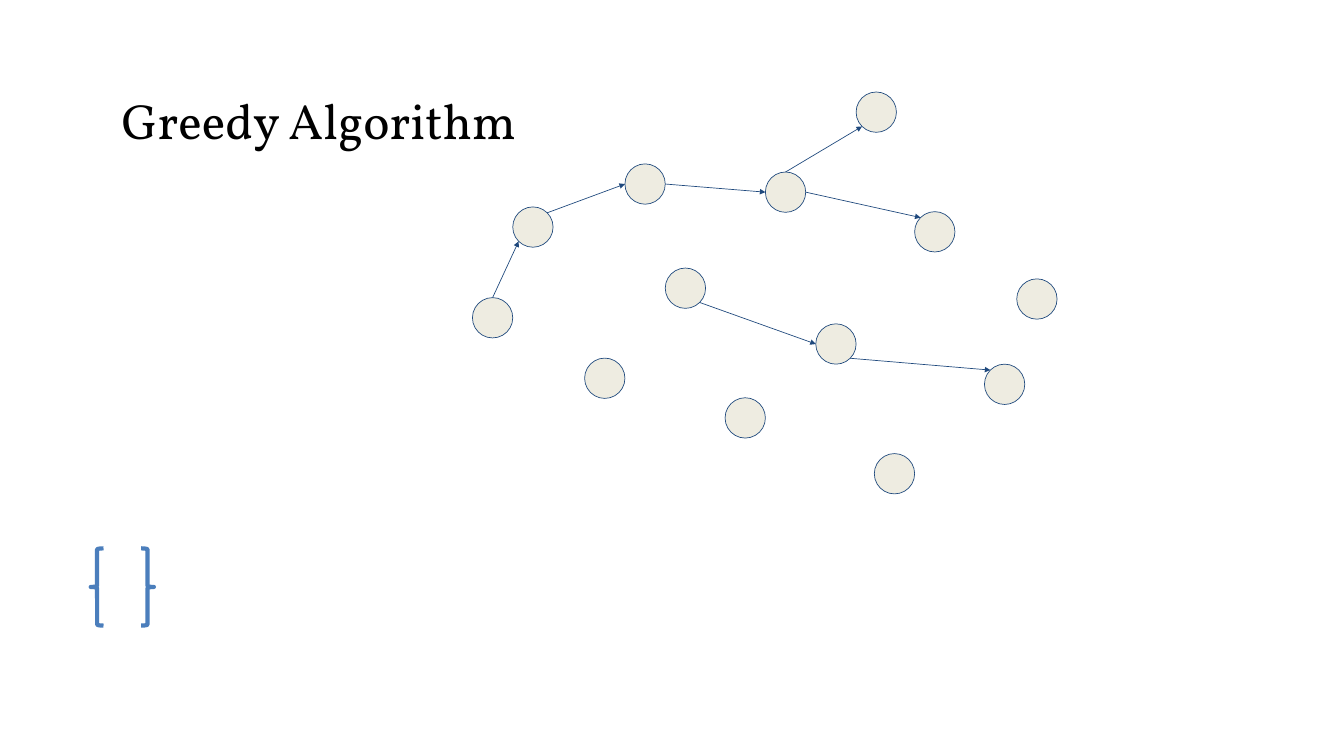
from dataclasses import dataclass
from math import cos, radians, sin

from pptx import Presentation
from pptx.dml.color import RGBColor
from pptx.enum.shapes import MSO_CONNECTOR, MSO_SHAPE
from pptx.enum.text import MSO_AUTO_SIZE
from pptx.oxml.ns import qn
from pptx.util import Pt
from lxml.etree import SubElement


@dataclass(frozen=True)
class Theme:
    """Colours, font and sizes in points."""
    font: str = "Vollkorn"
    title: float = 53
    ink: str = "000000"
    node: str = "EEECE1"
    edge: str = "1F497D"
    brace: str = "4B7EBC"
    thin: float = 0.75
    thick: float = 4.5
    inset: float = 7.2
    diameter: float = 43.2


THEME = Theme()

NODES = {
    "start": (0, 220.3),
    "rise": (43.2, 123.1),
    "crest": (163.4, 77),
    "fork": (313.9, 85.7),
    "peak": (411.1, 0),
    "slope": (473.8, 128.2),
    "inner": (206.6, 188.6),
    "middle": (367.9, 248.4),
    "outer": (548.6, 291.6),
    "far right": (583.2, 200.2),
    "low left": (120.2, 285.1),
    "low middle": (270.7, 327.6),
    "low right": (430.6, 387.4),
}

EDGES = [
    ("start", 270, "rise", 135),
    ("rise", 315, "crest", 180),
    ("crest", 0, "fork", 180),
    ("fork", 270, "peak", 135),
    ("fork", 0, "slope", 225),
    ("inner", 45, "middle", 180),
    ("middle", 45, "outer", 225),
]


def color(value):
    """Turn a hex string into a colour."""
    return RGBColor.from_string(value)


def add_text(slide, text, box, *, size, fill, font=THEME.font):
    """Add a one-line text box with the given format."""
    tf = slide.shapes.add_textbox(*map(Pt, box)).text_frame
    tf.word_wrap = True
    tf.auto_size = MSO_AUTO_SIZE.SHAPE_TO_FIT_TEXT
    tf.margin_left = tf.margin_right = Pt(THEME.inset)
    tf.margin_top = tf.margin_bottom = Pt(THEME.inset)
    r = tf.paragraphs[0].add_run()
    r.text = text
    r.font.name, r.font.size = font, Pt(size)
    r.font.color.rgb = color(fill)


def add_outline(slide, kind, box, *, line, width, fill=None):
    """Add a preset shape with a line and an optional fill."""
    sp = slide.shapes.add_shape(kind, *map(Pt, box))
    sp.shadow.inherit = False
    sp.line.color.rgb, sp.line.width = color(line), Pt(width)
    if fill:
        sp.fill.solid()
        sp.fill.fore_color.rgb = color(fill)
    else:
        sp.fill.background()


def add_arrow(slide, start, end):
    """Add a straight arrow between two points."""
    cxn = slide.shapes.add_connector(
        MSO_CONNECTOR.STRAIGHT, *map(Pt, (*start, *end)))
    cxn.line.color.rgb, cxn.line.width = color(THEME.edge), Pt(THEME.thin)
    SubElement(cxn.line._get_or_add_ln(), qn("a:tailEnd"), type="triangle")
    SubElement(cxn._element.spPr, qn("a:effectLst"))


def add_graph(slide, left, top):
    """Draw the nodes and the arrows from rim to rim."""
    d = THEME.diameter

    def rim(name, angle):
        """Find the point on a node's rim, clockwise from the right."""
        x, y = NODES[name]
        a = radians(angle)
        return left + x + d / 2 * (1 + cos(a)), top + y + d / 2 * (1 + sin(a))

    for x, y in NODES.values():
        add_outline(slide, MSO_SHAPE.OVAL, (left + x, top + y, d, d),
                    line=THEME.edge, width=THEME.thin, fill=THEME.node)
    for source, leave, target, arrive in EDGES:
        add_arrow(slide, rim(source, leave), rim(target, arrive))


def add_braces(slide, left, top, width, height):
    """Draw an empty pair of braces at the sides of the box."""
    w = 13.7
    for kind, x in ((MSO_SHAPE.LEFT_BRACE, left),
                    (MSO_SHAPE.RIGHT_BRACE, left + width - w)):
        add_outline(slide, kind, (x, top, w, height),
                    line=THEME.brace, width=THEME.thick)


def main():
    """Build the slide and save it."""
    prs = Presentation()
    prs.slide_width, prs.slide_height = Pt(1440), Pt(810)
    slide = prs.slides.add_slide(prs.slide_layouts[6])
    add_text(slide, "Greedy Algorithm", (123.1, 89.3, 519.1, 78.5),
             size=THEME.title, fill=THEME.ink)
    add_graph(slide, 506.2, 98.6)
    add_braces(slide, 97.2, 587.5, 67.7, 82.8)
    prs.save("out.pptx")


if __name__ == "__main__":
    main()
